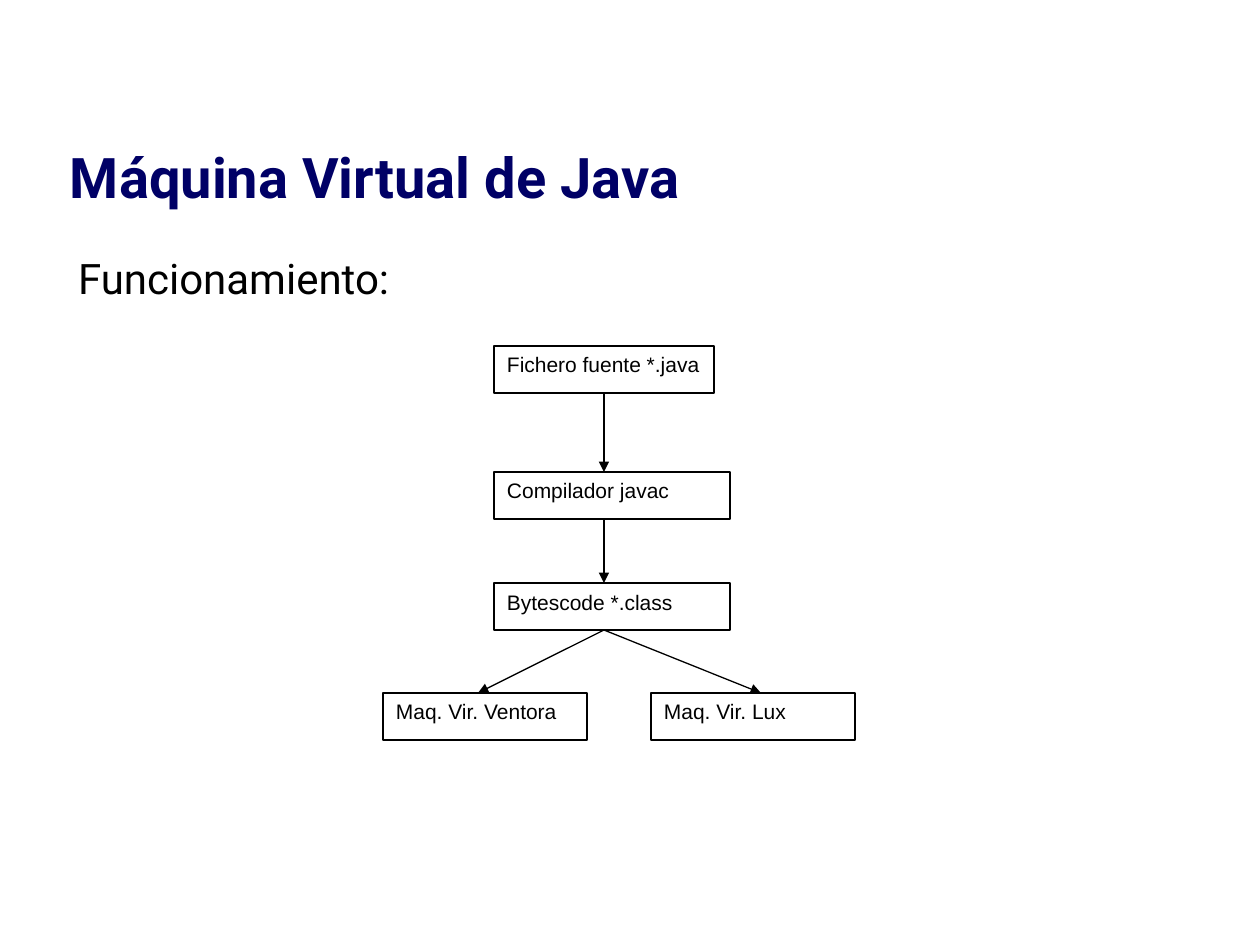
from dataclasses import dataclass
from typing import Optional

from lxml import etree
from pptx import Presentation
from pptx.dml.color import RGBColor
from pptx.enum.shapes import MSO_CONNECTOR, MSO_SHAPE
from pptx.enum.text import MSO_ANCHOR, MSO_AUTO_SIZE, PP_ALIGN
from pptx.oxml.ns import qn
from pptx.util import Emu, Pt

RECT = MSO_SHAPE.RECTANGLE
STRAIGHT = MSO_CONNECTOR.STRAIGHT
TOP, BOTTOM = MSO_ANCHOR.TOP, MSO_ANCHOR.BOTTOM
LEFT = PP_ALIGN.LEFT
NO_FIT = MSO_AUTO_SIZE.NONE

NAVY = RGBColor(0x00, 0x00, 0x66)
BLACK = RGBColor(0x00, 0x00, 0x00)
WHITE = RGBColor(0xFF, 0xFF, 0xFF)

PX_PER_INCH = 126
BOX_H = 47
BOTTOM_SITE = 2


@dataclass
class Box:
    text: str
    x: int
    y: int
    w: int


@dataclass
class Arrow:
    x1: int
    y1: int
    x2: int
    y2: int
    source: Optional[str] = None


def px(n: int) -> Emu:
    return Emu(round(n * 914400 / PX_PER_INCH))


def write(shape, text: str, font: str, size: int, color: RGBColor,
          inset: int, anchor=TOP, bold: bool = False):
    """Write one left-aligned line and return its paragraph."""
    tf = shape.text_frame
    tf.word_wrap = True
    tf.auto_size = NO_FIT
    tf.vertical_anchor = anchor
    tf.margin_left = tf.margin_right = px(inset)
    tf.margin_top = tf.margin_bottom = px(6)
    p = tf.paragraphs[0]
    p.alignment = LEFT
    r = p.add_run()
    r.text = text
    r.font.name, r.font.size, r.font.bold = font, Pt(size), bold
    r.font.color.rgb = color
    return p


def place(shape, x: int, y: int, w: int, h: int) -> None:
    shape.left, shape.top, shape.width, shape.height = map(px, (x, y, w, h))


def draw_box(shapes, box: Box):
    sp = shapes.add_shape(RECT, px(box.x), px(box.y), px(box.w), px(BOX_H))
    sp.shadow.inherit = False
    sp.fill.solid()
    sp.fill.fore_color.rgb = WHITE
    sp.line.color.rgb = BLACK
    sp.line.width = Pt(0.75)
    write(sp, box.text, "Arial", 12, BLACK, inset=13)
    return sp


def draw_arrow(shapes, arrow: Arrow, boxes: dict) -> None:
    cx = shapes.add_connector(STRAIGHT, px(arrow.x1), px(arrow.y1),
                              px(arrow.x2), px(arrow.y2))
    if arrow.source:
        cx.begin_connect(boxes[arrow.source], BOTTOM_SITE)
    cx.line.color.rgb = BLACK
    cx.line.width = Pt(0.75)
    etree.SubElement(cx.line._get_or_add_ln(), qn("a:tailEnd"), type="triangle")
    etree.SubElement(cx._element.spPr, qn("a:effectLst"))


SOURCE = "Fichero fuente *.java"
BOXES = [
    Box(SOURCE, 494, 346, 220),
    Box("Compilador javac", 494, 472, 236),
    Box("Bytescode *.class", 494, 583, 236),
    Box("Maq. Vir. Ventora", 383, 693, 204),
    Box("Maq. Vir. Lux", 651, 693, 204),
]
AXIS = 604
ARROWS = [
    Arrow(AXIS, 393, AXIS, 472, SOURCE),
    Arrow(AXIS, 520, AXIS, 583),
    Arrow(AXIS, 630, 478, 693),
    Arrow(AXIS, 630, 761, 693),
]


def main() -> None:
    prs = Presentation()
    prs.slide_width, prs.slide_height = px(1260), px(945)
    s = prs.slides.add_slide(prs.slide_layouts[1])

    # Title
    title = s.shapes.title
    place(title, 64, 96, 1133, 120)
    write(title, "Máquina Virtual de Java", "Roboto", 32, NAVY,
          inset=6, anchor=BOTTOM, bold=True)

    # Body line, without a bullet
    body = s.placeholders[1]
    place(body, 64, 234, 1134, 655)
    p = write(body, "Funcionamiento:", "Roboto", 24, BLACK, inset=6)
    p.line_spacing = 1.25
    p.space_before = Pt(15)
    pPr = p._p.get_or_add_pPr()
    pPr.set("marL", str(px(48)))
    pPr.set("indent", str(px(-40)))
    etree.SubElement(pPr, qn("a:buNone"))

    # Flow diagram
    shapes = s.shapes.add_group_shape().shapes
    boxes = {box.text: draw_box(shapes, box) for box in BOXES}
    for arrow in ARROWS:
        draw_arrow(shapes, arrow, boxes)

    prs.save("out.pptx")


if __name__ == "__main__":
    main()
